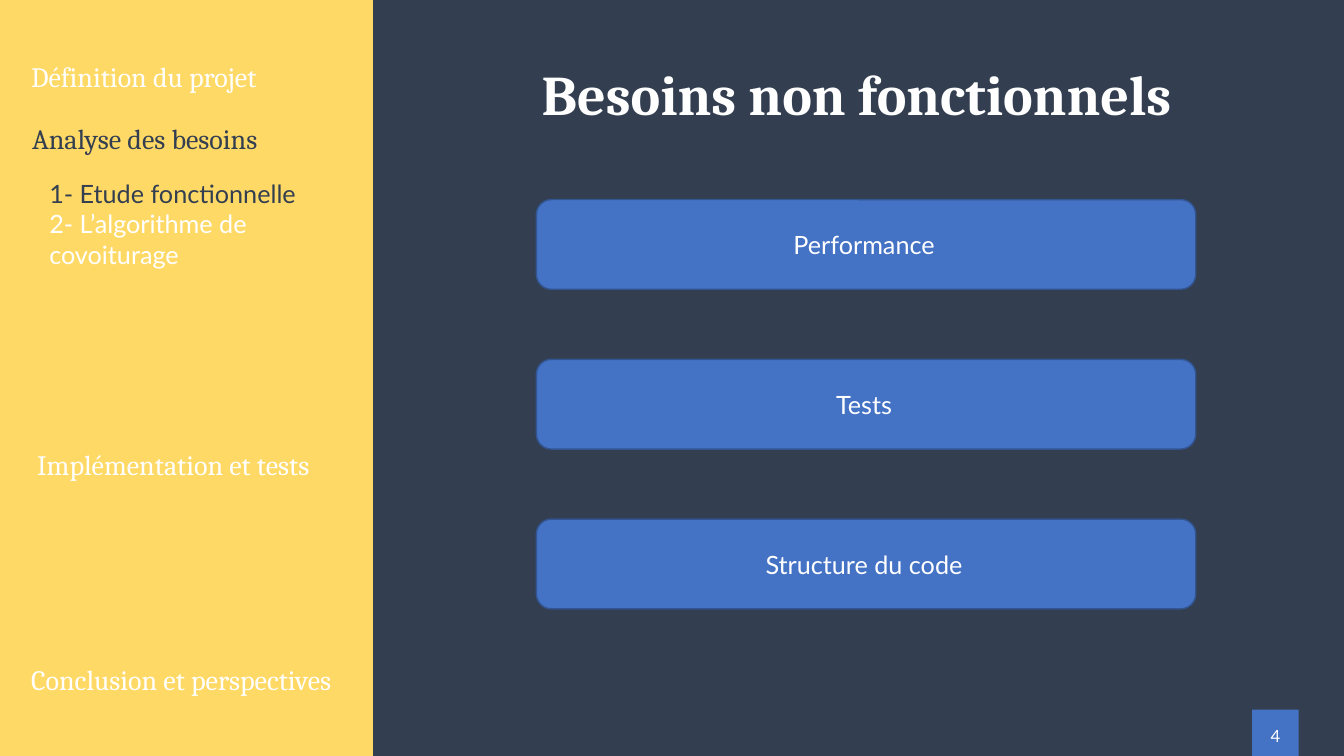
from dataclasses import dataclass

from pptx import Presentation
from pptx.dml.color import RGBColor
from pptx.enum.shapes import MSO_SHAPE as SHAPE
from pptx.enum.text import MSO_ANCHOR as ANCHOR, PP_ALIGN as ALIGN
from pptx.util import Inches, Pt


@dataclass(frozen=True)
class Theme:
    navy: RGBColor = RGBColor.from_string("333F50")
    yellow: RGBColor = RGBColor.from_string("FFD966")
    blue: RGBColor = RGBColor.from_string("4472C4")
    outline: RGBColor = RGBColor.from_string("325491")
    white: RGBColor = RGBColor.from_string("FFFFFF")
    heading: str = "Cambria"
    body: str = "Lato"
    title_size: int = 40
    section_size: int = 20
    body_size: int = 18
    number_size: int = 12


theme = Theme()
prs = Presentation()
prs.slide_width, prs.slide_height = Inches(13.33), Inches(7.5)
s = prs.slides.add_slide(prs.slide_layouts[6])


def add_panel(kind, x, y, w, h, fill):
    sp = s.shapes.add_shape(kind, Inches(x), Inches(y), Inches(w), Inches(h))
    sp.shadow.inherit = False
    sp.fill.solid()
    sp.fill.fore_color.rgb = fill
    sp.line.fill.background()
    return sp


def write(sp, lines, font, size, align=ALIGN.LEFT, bold=False):
    """Fill a shape with one paragraph per (text, colour) pair."""
    tf = sp.text_frame
    tf.word_wrap = True
    for i, (text, color) in enumerate(lines):
        p = tf.add_paragraph() if i else tf.paragraphs[0]
        p.text = text
        p.alignment = align
        p.font.name, p.font.size, p.font.bold = font, Pt(size), bold
        p.font.color.rgb = color
    return tf


# Background and sidebar
add_panel(SHAPE.RECTANGLE, 0, 0, 13.33, 7.5, theme.navy)
add_panel(SHAPE.RECTANGLE, 0, 0, 3.7, 7.5, theme.yellow)

# Slide number
add_panel(SHAPE.RECTANGLE, 12.42, 7.04, 0.46, 0.46, theme.blue)
number = s.shapes.add_textbox(Inches(12.46), Inches(7.04), Inches(0.38), Inches(0.4))
tf = write(number, [("4", theme.white)], theme.body, theme.number_size, ALIGN.CENTER)
tf.margin_left = tf.margin_right = Inches(0.12)
tf.margin_top = tf.margin_bottom = Inches(0.06)
tf.paragraphs[0].line_spacing = Pt(21.5)

# Sidebar sections, the current one in navy
sections = [
    ("Définition du projet", 0.21, 0.54, 2.96, theme.white),
    ("Analyse des besoins", 0.22, 1.16, 2.96, theme.navy),
    ("Implémentation et tests", 0.27, 4.39, 2.96, theme.white),
    ("Conclusion et perspectives", 0.21, 6.52, 3.45, theme.white),
]
for text, x, y, w, color in sections:
    section = s.shapes.add_textbox(Inches(x), Inches(y), Inches(w), Inches(0.44))
    write(section, [(text, color)], theme.heading, theme.section_size)

steps = [
    ("1- Etude fonctionnelle", theme.navy),
    ("2- L’algorithme de covoiturage", theme.white),
]
subsections = s.shapes.add_textbox(Inches(0.39), Inches(1.72), Inches(3.45), Inches(0.71))
write(subsections, steps, theme.body, theme.body_size)

# Title
title = s.shapes.add_textbox(Inches(3.66), Inches(0.54), Inches(9.67), Inches(0.77))
write(title, [("Besoins non fonctionnels", theme.white)], theme.heading,
      theme.title_size, ALIGN.CENTER, bold=True)

# Requirement cards
for i, need in enumerate(["Performance", "Tests", "Structure du code"]):
    card = add_panel(SHAPE.ROUNDED_RECTANGLE, 5.32, 1.98 + i * 1.585, 6.54, 0.89, theme.blue)
    card.line.color.rgb = theme.outline
    card.line.width = Pt(1)
    tf = write(card, [(need, theme.white)], theme.body, theme.body_size, ALIGN.CENTER)
    tf.vertical_anchor = ANCHOR.MIDDLE
    tf.margin_left, tf.margin_right = Inches(0.14), Inches(0.18)

prs.save("out.pptx")
